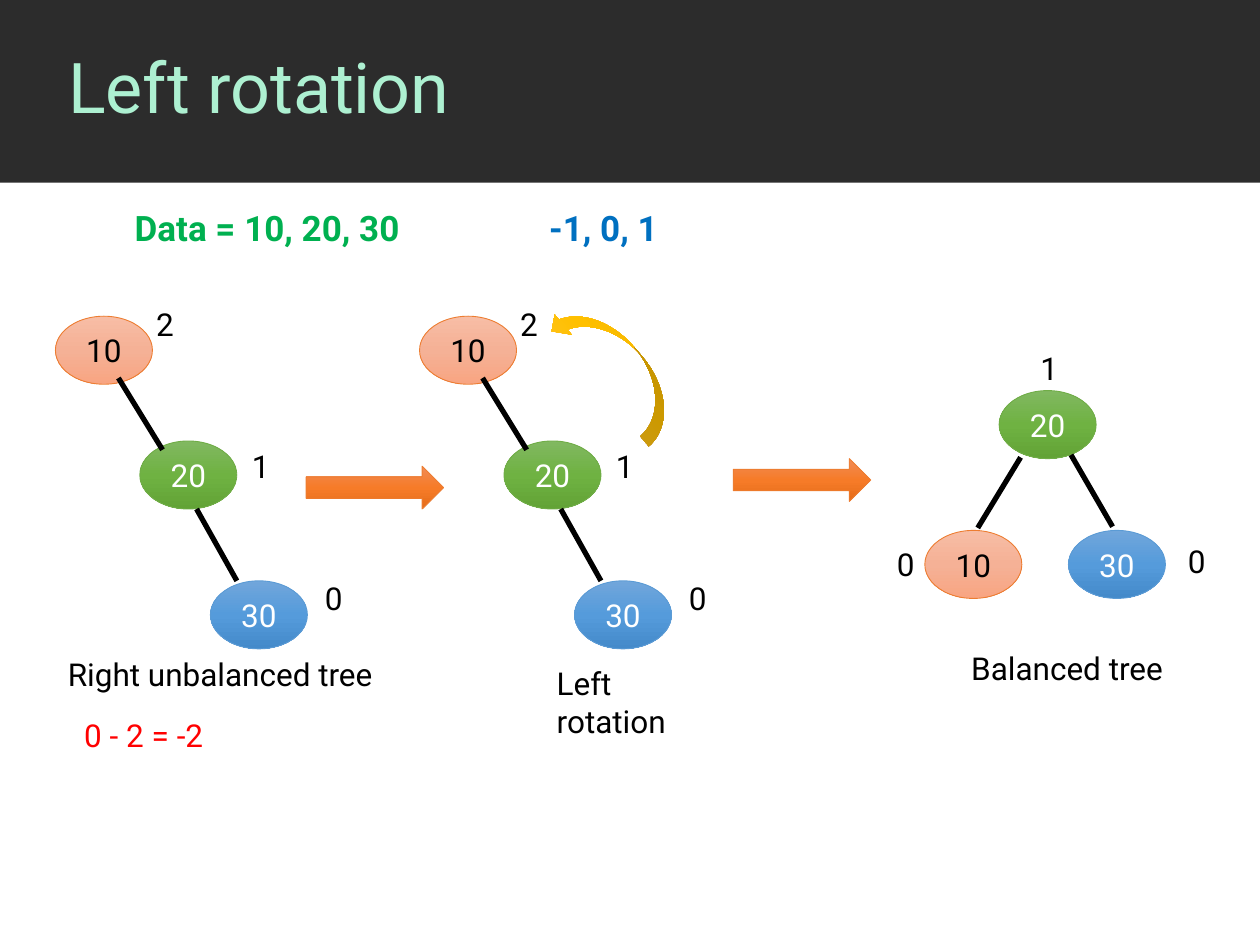
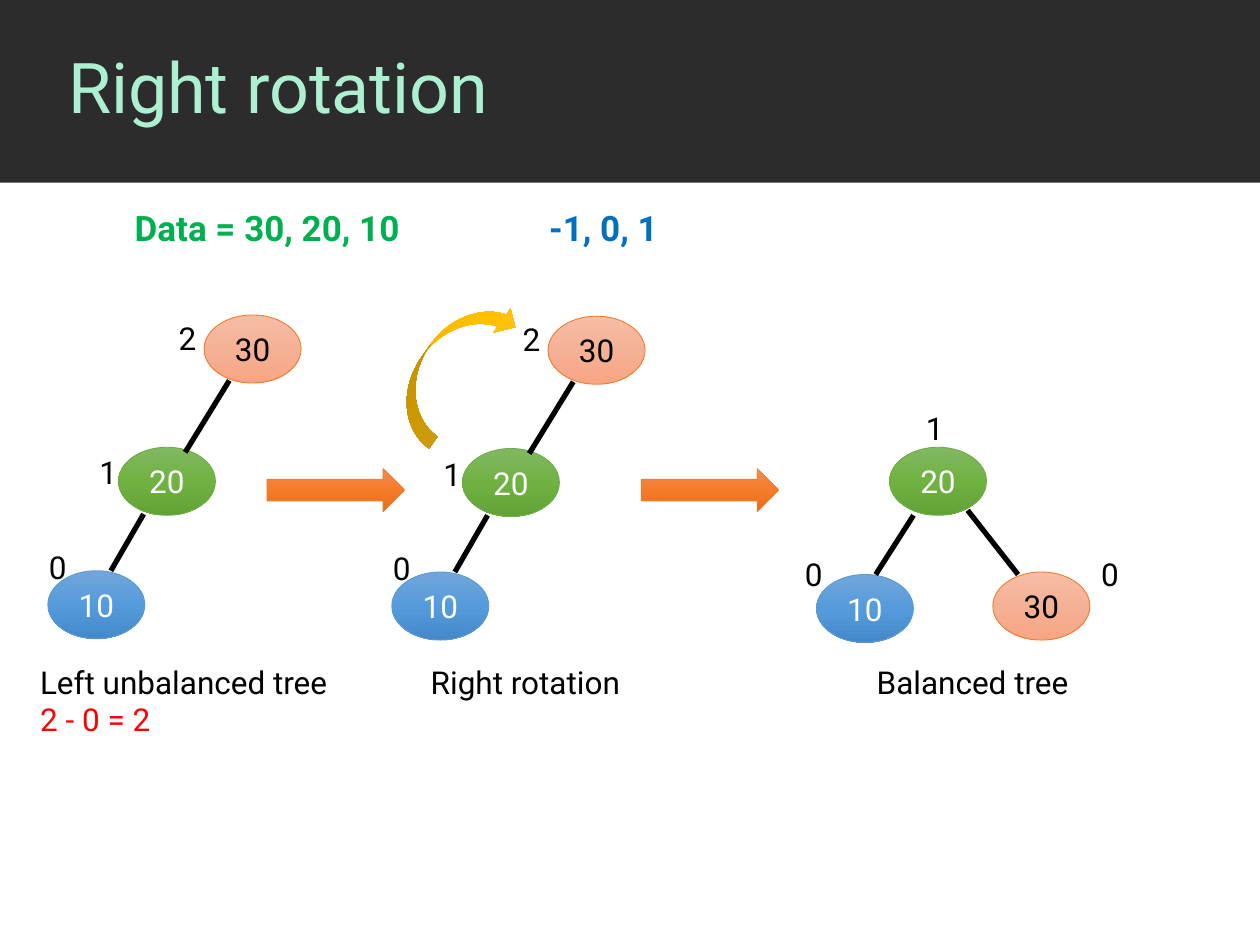
"""Build two slides that show left and right rotation of a binary tree."""
from copy import deepcopy

from lxml.etree import SubElement
from pptx import Presentation
from pptx.dml.color import RGBColor
from pptx.enum.shapes import MSO_CONNECTOR, MSO_SHAPE
from pptx.enum.text import MSO_ANCHOR, MSO_AUTO_SIZE, PP_ALIGN
from pptx.oxml.ns import qn
from pptx.util import Inches, Pt

FONT = "Roboto"
BLACK, WHITE, RED = "000000", "FFFFFF", "FF0000"
BAND, MINT, GREEN, BLUE = "2C2C2C", "ADF0D1", "00B050", "0070C0"
PEACH_FILL = ("F7BDA5", "F5B196", "F8A582")
GREEN_FILL = ("81B861", "6FB242", "62A336")
BLUE_FILL = ("71A6DB", "559BDB", "448ACA")
ORANGE_FILL = ("F18C57", "F67B28", "E56C19")
GOLD_FILL = ("FFC64B", "FFC000", "E3AB00")
ORANGE_LINE = "ED7D31"
PEACH_NODE = (PEACH_FILL, ORANGE_LINE, BLACK)
GREEN_NODE = (GREEN_FILL, "70AD47", WHITE)
BLUE_NODE = (BLUE_FILL, "5B9BD5", WHITE)
NODE_WIDTH, NODE_HEIGHT = 0.77, 0.54
ARROW_WIDTH, ARROW_HEIGHT = 1.09, 0.34
LABEL_WIDTH, LINE_HEIGHT = 0.3, 0.4

SLIDES = [
    {
        "title": "Left rotation",
        "data": "Data = 10, 20, 30",
        "trees": [
            {
                "offsets": [(0, 0), (2.89, 0)],
                "nodes": [("10", 0.44, 2.51, PEACH_NODE), ("20", 1.11, 3.5, GREEN_NODE),
                          ("30", 1.67, 4.61, BLUE_NODE)],
                "edges": [(0.94, 3, 1.29, 3.57), (1.56, 4.04, 1.88, 4.61)],
                "labels": [("0", 2.48, 4.55), ("2", 1.14, 2.37), ("1", 1.9, 3.5)],
            },
            {
                "offsets": [(0, 0)],
                "nodes": [("10", 7.34, 4.21, PEACH_NODE), ("20", 7.93, 3.1, GREEN_NODE),
                          ("30", 8.48, 4.21, BLUE_NODE)],
                "edges": [(8.1, 3.63, 7.76, 4.19), (8.5, 3.61, 8.83, 4.18)],
                "labels": [("0", 9.33, 4.25), ("1", 8.16, 2.72), ("0", 7.02, 4.28)],
            },
        ],
        "turn": (4.24, 2.7, 1.3, 0.42, 229.8, False),
        "arrows": [(2.43, 3.7), (5.82, 3.64)],
        "captions": [
            (0.44, 5.15, 2.67, [("Right unbalanced tree", BLACK)]),
            (0.57, 5.63, 1.31, [("0 - 2 = -2", RED)]),
            (7.61, 5.1, 1.83, [("Balanced tree", BLACK)]),
            (4.32, 5.22, 1.53, [("Left rotation", BLACK)]),
        ],
    },
    {
        "title": "Right rotation",
        "data": "Data = 30, 20, 10",
        "trees": [
            {
                "offsets": [(0, 0), (2.73, 0.01)],
                "nodes": [("30", 1.62, 2.5, PEACH_NODE), ("20", 0.94, 3.55, GREEN_NODE),
                          ("10", 0.38, 4.53, BLUE_NODE)],
                "edges": [(1.82, 3.02, 1.47, 3.59), (1.14, 4.08, 0.88, 4.53)],
                "labels": [("0", 0.29, 4.3), ("2", 1.32, 2.48), ("1", 0.69, 3.55)],
            },
            {
                "offsets": [(0, 0)],
                "nodes": [("30", 7.88, 4.54, PEACH_NODE), ("20", 7.06, 3.55, GREEN_NODE),
                          ("10", 6.48, 4.56, BLUE_NODE)],
                "edges": [(8.08, 4.56, 7.68, 4.05), (7.25, 4.09, 6.95, 4.56)],
                "labels": [("0", 6.29, 4.36), ("1", 7.25, 3.2), ("0", 8.64, 4.36)],
            },
        ],
        "turn": (2.94, 2.66, 1.3, 0.47, 305.4, True),
        "arrows": [(2.12, 3.72), (5.09, 3.72)],
        "captions": [
            (0.22, 5.21, 2.57, [("Left unbalanced tree", BLACK), ("2 - 0 = 2", RED)]),
            (6.86, 5.21, 1.83, [("Balanced tree", BLACK)]),
            (3.32, 5.21, 1.75, [("Right rotation", BLACK)]),
        ],
    },
]


def write(para, text, size=18, color=BLACK, bold=False, align=PP_ALIGN.LEFT):
    para.alignment = align
    span = para.add_run()
    span.text = text
    span.font.name = FONT
    span.font.size = Pt(size)
    span.font.bold = bold
    span.font.color.rgb = RGBColor.from_string(color)


def paint(shape, colors, line=None):
    shape.shadow.inherit = False
    shape.fill.gradient()
    shape.fill.gradient_angle = 270
    stop_list = shape.element.find(".//" + qn("a:gsLst"))
    stop_list.append(deepcopy(stop_list[0]))
    for stop, color, position in zip(shape.fill.gradient_stops, colors, (0, 0.5, 1)):
        stop.color.rgb = RGBColor.from_string(color)
        stop.position = position
    if line:
        shape.line.color.rgb = RGBColor.from_string(line)
        shape.line.width = Pt(0.5)
    else:
        shape.line.fill.background()


deck = Presentation()
deck.slide_width, deck.slide_height = Inches(10), Inches(7.5)
layout = deck.slide_layouts.get_by_name("Title Only")
pages = [deck.slides.add_slide(layout) for content in SLIDES]

band = pages[0].shapes.add_shape(MSO_SHAPE.RECTANGLE, 0, 0, Inches(10), Inches(1.45))
band.shadow.inherit = False
band.fill.solid()
band.fill.fore_color.rgb = RGBColor.from_string(BAND)
band.line.fill.background()
layout.shapes.element.insert(2, band.element)

for page, content in zip(pages, SLIDES):
    title = page.shapes.title
    title.left, title.top = Inches(0.44), Inches(0)
    title.width, title.height = Inches(9.56), Inches(1.44)
    title.text_frame.vertical_anchor = MSO_ANCHOR.MIDDLE
    title.text_frame.auto_size = MSO_AUTO_SIZE.NONE
    title.text_frame.paragraphs[0].line_spacing = 0.9
    write(title.text_frame.paragraphs[0], content["title"], size=40, color=MINT)

    captions = list(content["captions"])
    for tree in content["trees"]:
        for dx, dy in tree["offsets"]:
            for value, left, top, (fill, line, ink) in tree["nodes"]:
                node = page.shapes.add_shape(
                    MSO_SHAPE.OVAL, Inches(left + dx), Inches(top + dy),
                    Inches(NODE_WIDTH), Inches(NODE_HEIGHT))
                paint(node, fill, line)
                node.text_frame.vertical_anchor = MSO_ANCHOR.MIDDLE
                write(node.text_frame.paragraphs[0], value, color=ink, align=PP_ALIGN.CENTER)
            for x1, y1, x2, y2 in tree["edges"]:
                edge = page.shapes.add_connector(
                    MSO_CONNECTOR.STRAIGHT, Inches(x1 + dx), Inches(y1 + dy),
                    Inches(x2 + dx), Inches(y2 + dy))
                edge.line.color.rgb = RGBColor.from_string(BLACK)
                edge.line.width = Pt(3)
                SubElement(edge.element.spPr, qn("a:effectLst"))
            for factor, left, top in tree["labels"]:
                captions.append((left + dx, top + dy, LABEL_WIDTH, [(factor, BLACK)]))

    left, top, width, height, angle, flipped = content["turn"]
    turn = page.shapes.add_shape(
        MSO_SHAPE.CURVED_UP_ARROW, Inches(left), Inches(top), Inches(width), Inches(height))
    paint(turn, GOLD_FILL)
    turn.rotation = angle
    if flipped:
        turn.element.spPr.find(qn("a:xfrm")).set("flipV", "1")

    for left, top in content["arrows"]:
        arrow = page.shapes.add_shape(
            MSO_SHAPE.RIGHT_ARROW, Inches(left), Inches(top),
            Inches(ARROW_WIDTH), Inches(ARROW_HEIGHT))
        paint(arrow, ORANGE_FILL, ORANGE_LINE)

    for left, top, width, lines in captions:
        box = page.shapes.add_textbox(
            Inches(left), Inches(top), Inches(width), Inches(LINE_HEIGHT * len(lines)))
        box.text_frame.word_wrap = True
        box.text_frame.auto_size = MSO_AUTO_SIZE.SHAPE_TO_FIT_TEXT
        for index, (text, color) in enumerate(lines):
            para = box.text_frame.add_paragraph() if index else box.text_frame.paragraphs[0]
            write(para, text, color=color)

    header = page.shapes.add_textbox(Inches(0.97), Inches(1.59), Inches(4.69), Inches(0.44))
    header.text_frame.word_wrap = True
    header.text_frame.auto_size = MSO_AUTO_SIZE.SHAPE_TO_FIT_TEXT
    para = header.text_frame.paragraphs[0]
    tabs = SubElement(para._p.get_or_add_pPr(), qn("a:tabLst"))
    SubElement(tabs, qn("a:tab"), pos=str(Inches(3.29)), algn="l")
    write(para, content["data"], size=20, color=GREEN, bold=True)
    write(para, "\t-1, 0, 1", size=20, color=BLUE, bold=True)

deck.save("out.pptx")
